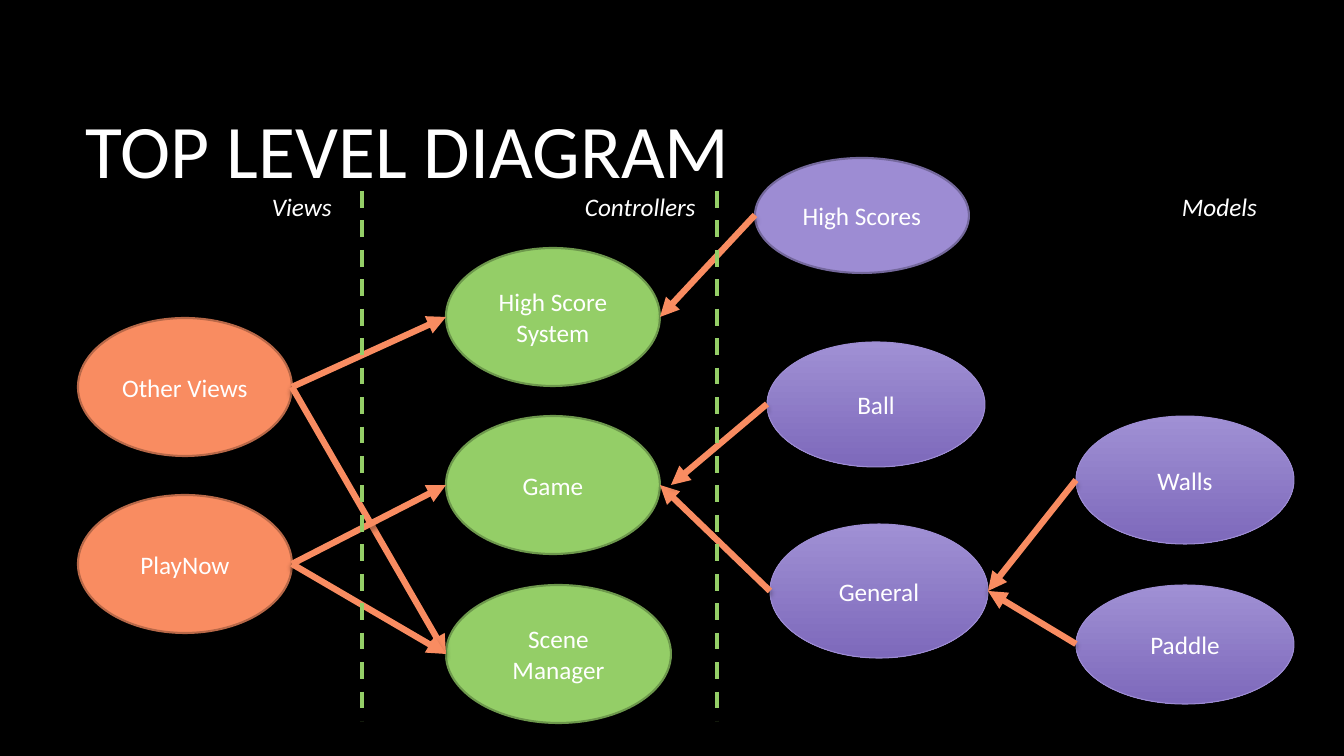
from dataclasses import dataclass
from typing import Any, Optional

import pptx
import pptx.dml.color
import pptx.enum.dml
import pptx.enum.shapes
import pptx.enum.text
import pptx.oxml.ns
import pptx.util
from lxml import etree

EMU_PER_PX = 914400 / 100.8


@dataclass(frozen=True)
class NodeStyle:
    fill: str
    line: str
    line_width: float = 1.5
    fill_end: Optional[str] = None
    shadow: bool = False


@dataclass(frozen=True)
class Theme:
    font: str = "Calibri"
    title_size: int = 54
    body_size: int = 18
    background: str = "000000"
    text: str = "FFFFFF"
    arrow: str = "F98C61"
    divider: str = "94CE67"
    view: NodeStyle = NodeStyle("F98C61", "B86848")
    controller: NodeStyle = NodeStyle("94CE67", "6D984C")
    score_model: NodeStyle = NodeStyle("9D8CD3", "74689C")
    game_model: NodeStyle = NodeStyle("A090D4", "9D8CD3", 0.75, "7D69BB", True)


THEME = Theme()


@dataclass(frozen=True)
class Node:
    name: str
    left: int
    top: int
    width: int
    height: int
    style: NodeStyle

    @property
    def middle(self) -> int:
        return self.top + self.height // 2

    @property
    def right(self) -> int:
        return self.left + self.width


@dataclass(frozen=True)
class Arrow:
    source: str
    target: str
    gap: int = 0


@dataclass(frozen=True)
class Label:
    text: str
    left: int
    top: int
    width: int
    height: int
    size: int = THEME.body_size
    heading: bool = False


NODES = [
    Node("Game", 446, 416, 214, 138, THEME.controller),
    Node("Ball", 767, 342, 218, 125, THEME.game_model),
    Node("General", 770, 524, 218, 134, THEME.game_model),
    Node("Walls", 1076, 416, 218, 128, THEME.game_model),
    Node("Paddle", 1076, 585, 218, 119, THEME.game_model),
    Node("PlayNow", 78, 495, 214, 138, THEME.view),
    Node("Other Views", 78, 318, 214, 138, THEME.view),
    Node("High Score System", 446, 248, 214, 138, THEME.controller),
    Node("Scene Manager", 446, 585, 225, 138, THEME.controller),
    Node("High Scores", 755, 158, 214, 115, THEME.score_model),
]
ARROWS = [
    Arrow("Walls", "General"),
    Arrow("Paddle", "General"),
    Arrow("General", "Game"),
    Arrow("Ball", "Game", gap=11),
    Arrow("High Scores", "High Score System"),
    Arrow("Other Views", "High Score System"),
    Arrow("Other Views", "Scene Manager"),
    Arrow("PlayNow", "Game"),
    Arrow("PlayNow", "Scene Manager"),
]
DIVIDERS = [362, 717]
DIVIDER_TOP, DIVIDER_BOTTOM = 191, 721
TITLE = Label("TOP LEVEL DIAGRAM", 76, 68, 1117, 160, THEME.title_size, heading=True)
COLUMN_LABELS = [
    Label("Views", 262, 186, 82, 40),
    Label("Controllers", 575, 186, 132, 40),
    Label("Models", 1172, 186, 96, 40),
]


def px(length: int) -> pptx.util.Emu:
    return pptx.util.Emu(round(length * EMU_PER_PX))


def rgb(color: str) -> pptx.dml.color.RGBColor:
    return pptx.dml.color.RGBColor.from_string(color)


def add_effects(shape: Any, shadow: bool) -> None:
    """Replace the inherited effects; call after fill and line are set."""
    qn = pptx.oxml.ns.qn
    effects = etree.SubElement(shape.element.spPr, qn("a:effectLst"))
    if shadow:
        outer = etree.SubElement(
            effects, qn("a:outerShdw"), blurRad="50800", dist="38100",
            dir="5400000", rotWithShape="0",
        )
        color = etree.SubElement(outer, qn("a:srgbClr"), val="000000")
        etree.SubElement(color, qn("a:alpha"), val="35000")


def format_text(frame: Any, text: str, size: int, italic: bool = False) -> None:
    frame.text = text
    font = frame.paragraphs[0].runs[0].font
    font.name = THEME.font
    font.size = pptx.util.Pt(size)
    font.color.rgb = rgb(THEME.text)
    font.italic = italic


def add_node(page: Any, node: Node) -> None:
    ellipse = page.shapes.add_shape(
        pptx.enum.shapes.MSO_SHAPE.OVAL,
        px(node.left), px(node.top), px(node.width), px(node.height),
    )
    style = node.style
    if style.fill_end:
        ellipse.fill.gradient()
        ellipse.fill.gradient_angle = 270
        for stop, color in zip(ellipse.fill.gradient_stops, (style.fill, style.fill_end)):
            stop.color.rgb = rgb(color)
    else:
        ellipse.fill.solid()
        ellipse.fill.fore_color.rgb = rgb(style.fill)
    ellipse.line.color.rgb = rgb(style.line)
    ellipse.line.width = pptx.util.Pt(style.line_width)
    add_effects(ellipse, style.shadow)
    frame = ellipse.text_frame
    frame.vertical_anchor = pptx.enum.text.MSO_ANCHOR.MIDDLE
    format_text(frame, node.name, THEME.body_size)
    frame.paragraphs[0].alignment = pptx.enum.text.PP_ALIGN.CENTER


def add_line(page: Any, start: tuple[int, int], end: tuple[int, int],
             color: str, width: float) -> Any:
    line = page.shapes.add_connector(
        pptx.enum.shapes.MSO_CONNECTOR.STRAIGHT, *map(px, start + end)
    )
    line.line.color.rgb = rgb(color)
    line.line.width = pptx.util.Pt(width)
    return line


def add_arrow(page: Any, source: Node, target: Node, gap: int) -> None:
    """Join the facing sides of two nodes, stopping gap px before the target."""
    if source.left < target.left:
        start_x, end_x = source.right, target.left - gap
    else:
        start_x, end_x = source.left, target.right + gap
    arrow = add_line(page, (start_x, source.middle), (end_x, target.middle), THEME.arrow, 4.5)
    outline = arrow.element.spPr.find(pptx.oxml.ns.qn("a:ln"))
    etree.SubElement(outline, pptx.oxml.ns.qn("a:tailEnd"), type="triangle")
    add_effects(arrow, shadow=True)


def add_divider(page: Any, x: int) -> None:
    divider = add_line(page, (x, DIVIDER_TOP), (x, DIVIDER_BOTTOM), THEME.divider, 3)
    divider.line.dash_style = pptx.enum.dml.MSO_LINE.DASH
    add_effects(divider, shadow=False)


def add_label(page: Any, label: Label) -> None:
    box = page.shapes.add_textbox(
        px(label.left), px(label.top), px(label.width), px(label.height)
    )
    frame = box.text_frame
    frame.word_wrap = label.heading
    if label.heading:
        frame.vertical_anchor = pptx.enum.text.MSO_ANCHOR.MIDDLE
    else:
        frame.auto_size = pptx.enum.text.MSO_AUTO_SIZE.SHAPE_TO_FIT_TEXT
    format_text(frame, label.text, label.size, italic=not label.heading)


def main() -> None:
    deck = pptx.Presentation()
    deck.slide_width, deck.slide_height = px(1344), px(756)
    page = deck.slides.add_slide(deck.slide_layouts[6])
    page.background.fill.solid()
    page.background.fill.fore_color.rgb = rgb(THEME.background)
    add_label(page, TITLE)
    for node in NODES:
        add_node(page, node)
    by_name = {node.name: node for node in NODES}
    for arrow in ARROWS:
        add_arrow(page, by_name[arrow.source], by_name[arrow.target], arrow.gap)
    for x in DIVIDERS:
        add_divider(page, x)
    for label in COLUMN_LABELS:
        add_label(page, label)
    deck.save("out.pptx")


if __name__ == "__main__":
    main()
